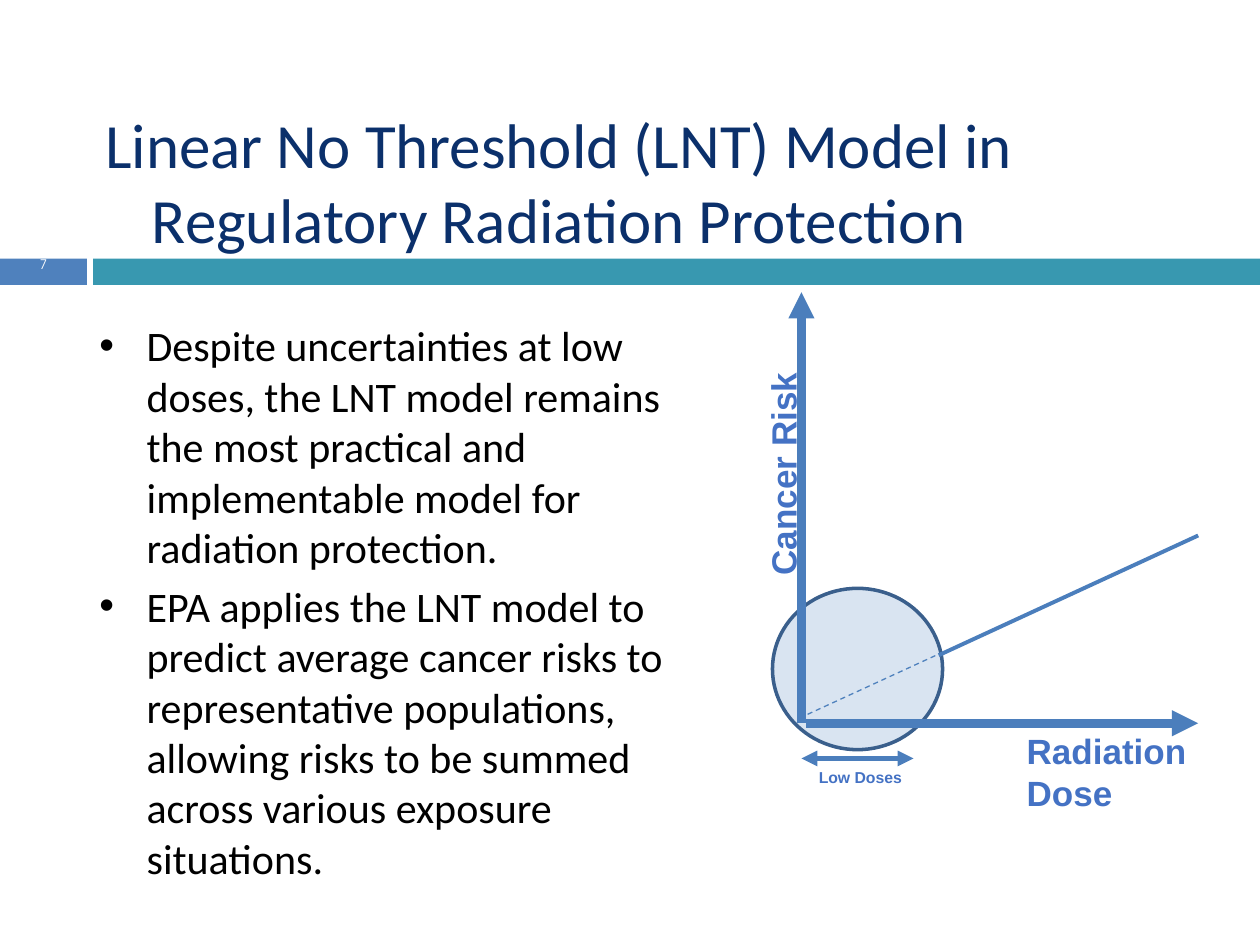
"""Build a slide on the linear no-threshold model with a dose-risk sketch."""
from lxml.etree import SubElement
from pptx import Presentation
from pptx.dml.color import RGBColor
from pptx.enum.dml import MSO_LINE
from pptx.enum.shapes import MSO_CONNECTOR as CONN, MSO_SHAPE as SHAPE
from pptx.enum.text import MSO_ANCHOR as ANCHOR, MSO_AUTO_SIZE as FIT, PP_ALIGN as ALIGN
from pptx.oxml.ns import qn
from pptx.util import Pt

COLORS = {
    "title": "0B306B", "body": "000000", "number": "FFFFFF", "label": "4472C4",
    "blue": "4F81BD", "teal": "3898B0", "axis": "4B7EBC", "outline": "3A5F8C",
}


def rgb(name):
    return RGBColor.from_string(COLORS[name])


def add_run(p, text, font, size, color, bold=False):
    r = p.add_run()
    r.text = text
    r.font.name, r.font.size, r.font.bold = font, Pt(size), bold
    r.font.color.rgb = rgb(color)


prs = Presentation()
prs.slide_width, prs.slide_height = Pt(720), Pt(540)
s = prs.slides.add_slide(prs.slide_layouts[5])

sp = s.shapes.add_shape(SHAPE.OVAL, Pt(441.4), Pt(336.2), Pt(97.2), Pt(92.2))
sp.shadow.inherit = False
sp.fill.solid()
sp.fill.fore_color.rgb = rgb("blue")
SubElement(sp.fill._xPr.find(qn("a:solidFill"))[0], qn("a:alpha"), val="21000")
sp.line.color.rgb = rgb("outline")
sp.line.width = Pt(2)

title = s.shapes.title
title.left, title.top, title.width, title.height = Pt(38.2), Pt(67.7), Pt(562.3), Pt(71.3)
tf = title.text_frame
tf.auto_size, tf.word_wrap, tf.vertical_anchor = FIT.NONE, True, ANCHOR.MIDDLE
p = tf.paragraphs[0]
p.alignment = ALIGN.CENTER
add_run(p, "Linear No Threshold (LNT) Model in Regulatory Radiation Protection",
        "Calibri", 36, "title")

bullets = [
    "Despite uncertainties at low doses, the LNT model remains the most practical and "
    "implementable model for radiation protection.",
    "EPA applies the LNT model to predict average cancer risks to representative "
    "populations, allowing risks to be summed across various exposure situations.",
]
tf = s.shapes.add_textbox(Pt(49.7), Pt(179.3), Pt(363.6), Pt(270.7)).text_frame
tf.word_wrap = True
for i, text in enumerate(bullets):
    p = tf.add_paragraph() if i else tf.paragraphs[0]
    p.space_before = Pt(4.8)
    pPr = p._p.get_or_add_pPr()
    pPr.set("marL", str(Pt(27)))
    pPr.set("indent", str(-Pt(27)))
    SubElement(pPr, qn("a:buFont"), typeface="Arial")
    SubElement(pPr, qn("a:buChar"), char="•")
    add_run(p, text, "Calibri", 24, "body")

for left, width, color in [(0, 49.7), (53.3, 666.7)] and [(0, 49.7, "blue"), (53.3, 666.7, "teal")]:
    sp = s.shapes.add_shape(SHAPE.RECTANGLE, Pt(left), Pt(147.8), Pt(width), Pt(15))
    sp.shadow.inherit = False
    sp.fill.solid()
    sp.fill.fore_color.rgb = rgb(color)
    sp.line.fill.background()

tf = s.shapes.add_textbox(0, Pt(139.7), Pt(49.7), Pt(22.3)).text_frame
tf.word_wrap, tf.vertical_anchor = True, ANCHOR.MIDDLE
p = tf.paragraphs[0]
p.alignment = ALIGN.CENTER
add_run(p, "7", "TeX Gyre Adventor", 7.5, "number")

lines = [
    (458, 413.3, 458, 167, "axis", 5, ["tailEnd"]),
    (460.8, 413.3, 684.7, 413.3, "axis", 5, ["tailEnd"]),
    (536.4, 374.4, 684.7, 306, "axis", 2.25, []),
    (461.5, 408.2, 535, 374.4, "blue", 0.75, []),
    (458, 433.4, 522, 433.4, "axis", 3, ["headEnd", "tailEnd"]),
]
for x1, y1, x2, y2, color, width, arrows in lines:
    c = s.shapes.add_connector(CONN.STRAIGHT, Pt(x1), Pt(y1), Pt(x2), Pt(y2))
    c.line.color.rgb = rgb(color)
    c.line.width = Pt(width)
    if width < 1:
        c.line.dash_style = MSO_LINE.DASH
    for end in arrows:
        SubElement(c.line._get_or_add_ln(), qn(f"a:{end}"), type="triangle")
    SubElement(c._element.spPr, qn("a:effectLst"))

labels = [
    ("Radiation Dose", 579.6, 413.3, 113.8, 55.4, 20, 0),
    ("Cancer Risk", 371.5, 244.1, 151.9, 31.7, 20, 270),
    ("Low Doses", 460.8, 434.9, 74.2, 18, 9, 0),
]
for text, left, top, width, height, size, angle in labels:
    sp = s.shapes.add_textbox(Pt(left), Pt(top), Pt(width), Pt(height))
    sp.rotation = angle
    tf = sp.text_frame
    tf.word_wrap, tf.auto_size = True, FIT.SHAPE_TO_FIT_TEXT
    add_run(tf.paragraphs[0], text, "Arial", size, "label", True)

prs.save("out.pptx")
